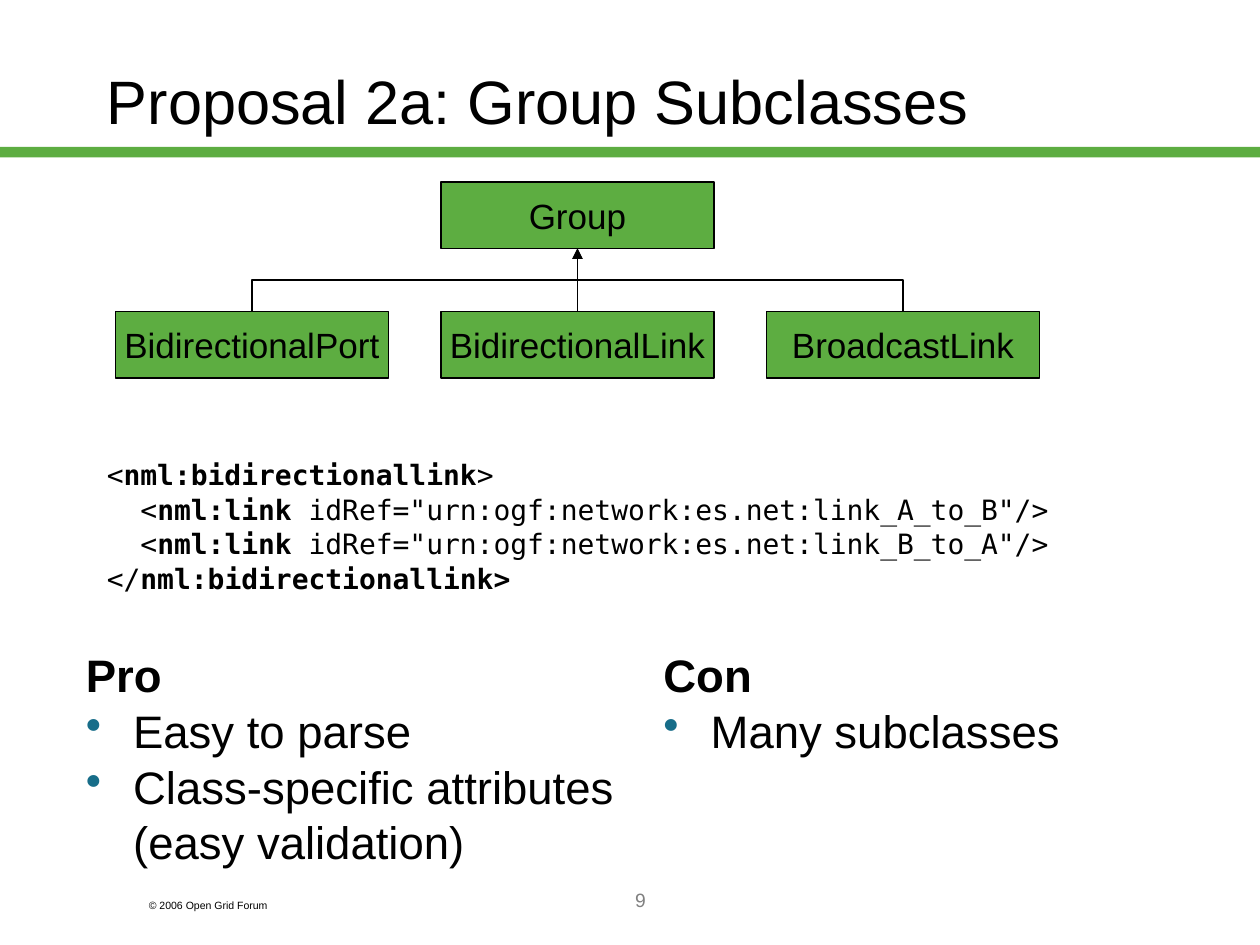
from pptx import Presentation
from pptx.dml.color import RGBColor
from pptx.enum.shapes import MSO_CONNECTOR, MSO_SHAPE
from pptx.enum.text import MSO_ANCHOR, PP_ALIGN
from pptx.oxml.ns import qn
from pptx.util import Pt
from lxml import etree

RECT = MSO_SHAPE.RECTANGLE
ELBOW = MSO_CONNECTOR.ELBOW
MIDDLE = MSO_ANCHOR.MIDDLE
CENTER = PP_ALIGN.CENTER
COLORS = {"green": "5DAD41", "black": "000000", "gray": "808080", "teal": "176D89"}
SANS = "Arial"
MONO = "DejaVu Sans Mono"

prs = Presentation()
prs.slide_width, prs.slide_height = Pt(720), Pt(540)
slide = prs.slides.add_slide(prs.slide_layouts[6])
shapes = slide.shapes


def style(para, size, name=SANS, color="black", bold=None):
    font = para.font
    font.size, font.name, font.bold = Pt(size), name, bold
    font.color.rgb = RGBColor.from_string(COLORS[color])


def add_text(left, top, width, height, text=""):
    box = shapes.add_textbox(Pt(left), Pt(top), Pt(width), Pt(height))
    frame = box.text_frame
    frame.word_wrap = True
    frame.text = text
    return frame


rule = shapes.add_shape(RECT, Pt(0), Pt(84), Pt(720), Pt(6))
rule.shadow.inherit = False
rule.fill.solid()
rule.fill.fore_color.rgb = RGBColor.from_string(COLORS["green"])
rule.line.fill.background()

title = add_text(54, 12, 612, 90, "Proposal 2a: Group Subclasses")
title.vertical_anchor = MIDDLE
style(title.paragraphs[0], 35)

wide, high = 156, 38
mid, top, low = 330, 104, 178
gap = 186
nodes = [
    ("Group", mid, top),
    ("BidirectionalPort", mid - gap, low),
    ("BidirectionalLink", mid, low),
    ("BroadcastLink", mid + gap, low),
]
for name, x, y in nodes:
    node = shapes.add_shape(RECT, Pt(x - wide / 2), Pt(y), Pt(wide), Pt(high))
    node.shadow.inherit = False
    node.fill.solid()
    node.fill.fore_color.rgb = RGBColor.from_string(COLORS["green"])
    node.line.color.rgb = RGBColor.from_string(COLORS["black"])
    node.line.width = Pt(0.75)
    frame = node.text_frame
    frame.word_wrap = False
    frame.vertical_anchor = MIDDLE
    frame.text = name
    para = frame.paragraphs[0]
    para.alignment = CENTER
    style(para, 20)

half = (low - top - high) / 2
level = low - half
for shift in (0, -gap, gap):
    x = mid + shift / 2
    link = shapes.add_connector(
        ELBOW, Pt(x + half), Pt(level - shift / 2), Pt(x - half), Pt(level + shift / 2)
    )
    link.line.color.rgb = RGBColor.from_string(COLORS["black"])
    link.line.width = Pt(0.75)
    props = link._element.spPr
    props.find(qn("a:xfrm")).set("rot", "5400000")
    if shift:
        etree.SubElement(props.find(qn("a:ln")), qn("a:tailEnd"), type="triangle")
    etree.SubElement(props, qn("a:effectLst"))

code = [
    [("<", False), ("nml:bidirectionallink", True), (">", False)],
    [("  <", False), ("nml:link ", True),
     ('idRef="urn:ogf:network:es.net:link_A_to_B"/>', False)],
    [("  <", False), ("nml:link ", True),
     ('idRef="urn:ogf:network:es.net:link_B_to_A"/>', False)],
    [("</", False), ("nml:bidirectionallink>", True)],
]
frame = add_text(54, 258, 612, 102)
for i, parts in enumerate(code):
    para = frame.add_paragraph() if i else frame.paragraphs[0]
    if i:
        para.space_before = Pt(0.5)
    style(para, 16, MONO)
    for text, bold in parts:
        run = para.add_run()
        run.text = text
        run.font.bold = bold

lists = [
    (42, 318, "Pro", ["Easy to parse", "Class-specific attributes (easy validation)"]),
    (372, 306, "Con", ["Many subclasses"]),
]
for left, width, head, items in lists:
    frame = add_text(left, 366, width, 150, head)
    style(frame.paragraphs[0], 26, bold=True)
    for item in items:
        para = frame.add_paragraph()
        para.text = item
        para.space_before = Pt(1)
        props = para._p.get_or_add_pPr()
        props.set("marL", str(Pt(27)))
        props.set("indent", str(Pt(-27)))
        tint = etree.SubElement(props, qn("a:buClr"))
        etree.SubElement(tint, qn("a:srgbClr"), val=COLORS["teal"])
        etree.SubElement(props, qn("a:buChar"), char="•")
        style(para, 26)

foot = add_text(78, 510, 108, 14, "© 2006 Open Grid Forum")
style(foot.paragraphs[0], 6)

page = add_text(156, 504, 420, 36, "9").paragraphs[0]
page.alignment = CENTER
style(page, 11, color="gray")

prs.save("out.pptx")
